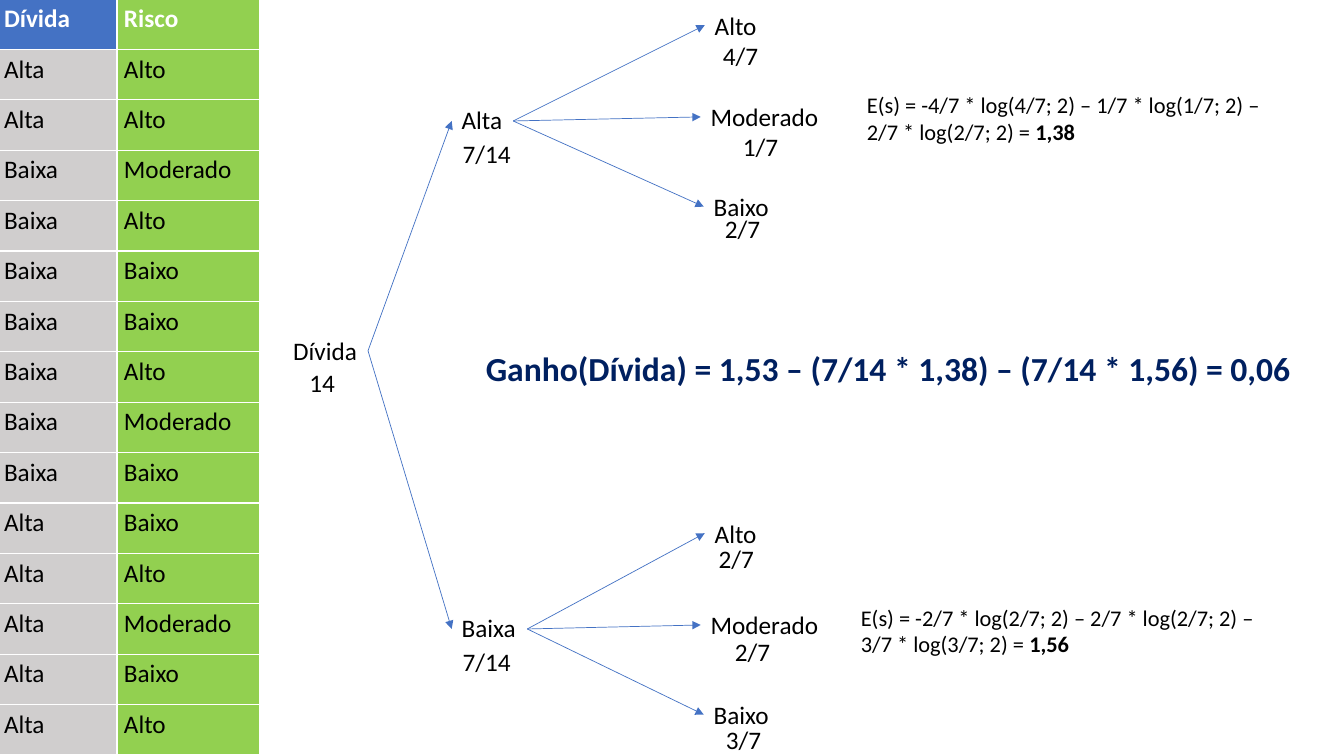
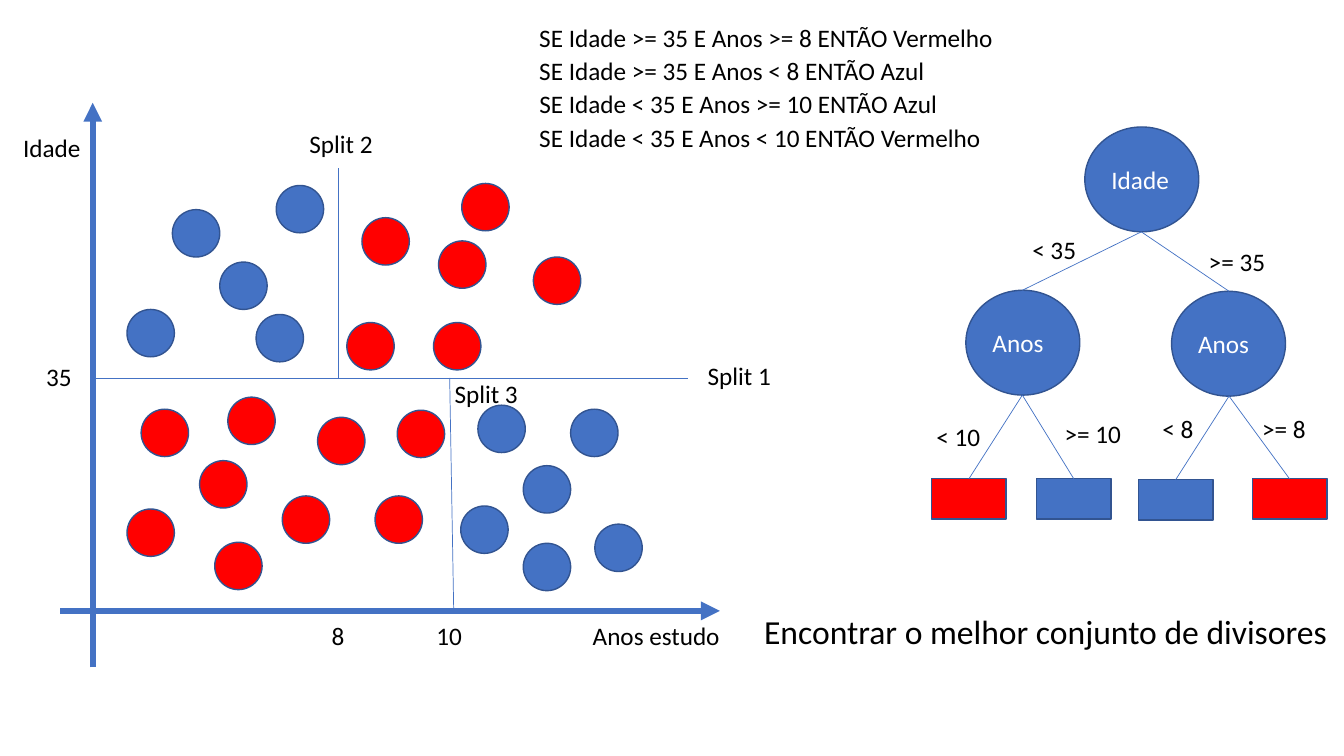
"""Build two slides on decision trees: information gain and splitting rules."""
import pptx
import pptx.util
import pptx.dml.color
import pptx.enum.shapes
import pptx.enum.text
import pptx.oxml
import pptx.oxml.ns

PX = 9144
BLUE, RED, OUTLINE = "4472C4", "FF0000", "325491"
GREEN, GREY, NAVY, BLACK, WHITE = "92D050", "D0CECE", "002060", "000000", "FFFFFF"
FONT = "Calibri"
rgb = pptx.dml.color.RGBColor.from_string
OVAL = pptx.enum.shapes.MSO_SHAPE.OVAL
RECTANGLE = pptx.enum.shapes.MSO_SHAPE.RECTANGLE


def put_text(slide, text, x, y, width, height=40, size=18, color=BLACK, bold=False, wrap=False, ending=""):
    box = slide.shapes.add_textbox(x * PX, y * PX, width * PX, height * PX)
    frame = box.text_frame
    frame.word_wrap = wrap
    frame.auto_size = pptx.enum.text.MSO_AUTO_SIZE.SHAPE_TO_FIT_TEXT
    frame.text = text
    paragraph = frame.paragraphs[0]
    paragraph.runs[0].font.bold = bold
    if ending:
        bold_run = paragraph.add_run()
        bold_run.text = ending
        bold_run.font.bold = True
    for run in paragraph.runs:
        run.font.name = FONT
        run.font.size = pptx.util.Pt(size)
        run.font.color.rgb = rgb(color)


def put_line(slide, start, end, weight=0.5, arrow=False):
    ends = [value * PX for value in (*start, *end)]
    line = slide.shapes.add_connector(pptx.enum.shapes.MSO_CONNECTOR.STRAIGHT, *ends)
    line.line.color.rgb = rgb(BLUE)
    line.line.width = pptx.util.Pt(weight)
    properties = line._element.spPr
    if arrow:
        head = pptx.oxml.parse_xml(f'<a:tailEnd {pptx.oxml.ns.nsdecls("a")} type="triangle"/>')
        properties.find(pptx.oxml.ns.qn("a:ln")).append(head)
    properties.append(pptx.oxml.parse_xml(f'<a:effectLst {pptx.oxml.ns.nsdecls("a")}/>'))


deck = pptx.Presentation()
deck.slide_width, deck.slide_height = pptx.util.Inches(13.33), pptx.util.Inches(7.5)
blank = deck.slide_layouts[6]

gain = deck.slides.add_slide(blank)
put_text(gain, "Dívida", 281, 328, 84)
put_text(gain, "14", 297, 359, 46)

branches = [
    ("Alta", 61, 0, [("4/7", 707, 35), ("1/7", 727, 125), ("2/7", 709, 207)],
     "E(s) = -4/7 * log(4/7; 2) – 1/7 * log(1/7; 2) – 2/7 * log(2/7; 2) = ", "1,38", 850, 86),
    ("Baixa", 75, 504, [("2/7", 703, 534), ("2/7", 719, 626), ("3/7", 710, 714)],
     "E(s) = -2/7 * log(2/7; 2) – 2/7 * log(2/7; 2) – 3/7 * log(3/7; 2) = ", "1,56", 844, 594),
]
outcomes = [("Alto", 699, 5, 62), ("Moderado", 695, 96, 128), ("Baixo", 698, 185, 75)]
for debt, width, drop, fractions, formula, entropy, formula_x, formula_y in branches:
    put_line(gain, (365, 348), (448, 120 + drop), arrow=True)
    put_text(gain, debt, 448, 99 + drop, width)
    put_text(gain, "7/14", 449, 132 + drop, 68)
    for (risk, x, y, risk_width), (fraction, fraction_x, fraction_y) in zip(outcomes, fractions):
        put_line(gain, (448 + width, 120 + drop), (x, y + 20 + drop), arrow=True)
        put_text(gain, risk, x, y + drop, risk_width)
        put_text(gain, fraction, fraction_x, fraction_y, 62, wrap=True)
    put_text(gain, formula, formula_x, formula_y, 427, 64, size=16, wrap=True, ending=entropy)
put_text(gain, "Ganho(Dívida) = 1,53 – (7/14 * 1,38) – (7/14 * 1,56) = 0,06",
         472, 340, 839, 50, size=24, color=NAVY, bold=True, wrap=True)

records = [
    ("Dívida", "Risco"), ("Alta", "Alto"), ("Alta", "Alto"), ("Baixa", "Moderado"),
    ("Baixa", "Alto"), ("Baixa", "Baixo"), ("Baixa", "Baixo"), ("Baixa", "Alto"),
    ("Baixa", "Moderado"), ("Baixa", "Baixo"), ("Alta", "Baixo"), ("Alta", "Alto"),
    ("Alta", "Moderado"), ("Alta", "Baixo"), ("Alta", "Alto"),
]
risks = gain.shapes.add_table(len(records), 2, -3 * PX, -1 * PX, 261 * PX, 750 * PX).table
risks.horz_banding = False
risks.columns[0].width, risks.columns[1].width = 119 * PX, 142 * PX
for row, record in enumerate(records):
    risks.rows[row].height = 50 * PX
    for column, value in enumerate(record):
        cell = risks.cell(row, column)
        cell.margin_left = cell.margin_right = 7 * PX
        cell.margin_top = cell.margin_bottom = 0
        cell.fill.solid()
        cell.fill.fore_color.rgb = rgb(GREEN if column else GREY if row else BLUE)
        cell.text_frame.text = value
        paragraph = cell.text_frame.paragraphs[0]
        paragraph.line_spacing = 1.15
        font = paragraph.runs[0].font
        font.name, font.size, font.bold = FONT, pptx.util.Pt(18), row == 0
        font.color.rgb = rgb(BLACK if row else WHITE)

splits = deck.slides.add_slide(blank)
blue_points = [
    (274, 184), (126, 307), (171, 208), (218, 260), (254, 312), (566, 406),
    (457, 502), (474, 402), (519, 462), (590, 520), (519, 539),
]
red_points = [
    (344, 320), (359, 216), (458, 182), (430, 320), (435, 239), (529, 255), (140, 406), (226, 394),
    (126, 505), (315, 414), (198, 457), (213, 538), (372, 492), (280, 492), (394, 407),
]
figures = [(OVAL, x, y, 47, 47, BLUE, "") for x, y in blue_points]
figures += [(OVAL, x, y, 47, 47, RED, "") for x, y in red_points]
figures += [(OVAL, x, y, 113, 104, BLUE, label)
            for x, y, label in [(1076, 126, "Idade"), (958, 288, "Anos"), (1162, 289, "Anos")]]
figures += [(RECTANGLE, x, y, 74, 40, fill, "")
            for x, y, fill in [(924, 475, RED), (1028, 475, BLUE), (1129, 476, BLUE), (1242, 475, RED)]]
for preset, x, y, width, height, fill, label in figures:
    figure = splits.shapes.add_shape(preset, x * PX, y * PX, width * PX, height * PX)
    figure.shadow.inherit = False
    figure.fill.solid()
    figure.fill.fore_color.rgb = rgb(fill)
    figure.line.color.rgb = rgb(OUTLINE)
    figure.line.width = pptx.util.Pt(1)
    if label:
        figure.text_frame.text = label
        font = figure.text_frame.paragraphs[0].runs[0].font
        font.name, font.size = FONT, pptx.util.Pt(18)
        font.color.rgb = rgb(WHITE)

for start, end in [((92, 662), (92, 102)), ((60, 606), (714, 606))]:
    put_line(splits, start, end, weight=4.5, arrow=True)
dividers = [((92, 375), (682, 375)), ((336, 167), (336, 375)), ((446, 375), (450, 606))]
tree_edges = [
    ((1132, 230), (1014, 288)), ((1132, 230), (1219, 289)),
    ((1014, 392), (961, 475)), ((1014, 392), (1065, 475)),
    ((1219, 393), (1166, 476)), ((1219, 393), (1279, 475)),
]
for start, end in dividers + tree_edges:
    put_line(splits, start, end)

captions = [
    ("Idade", 13, 126, 78), ("Anos estudo", 578, 611, 148),
    ("35", 36, 354, 46), ("10", 423, 611, 46), ("8", 319, 610, 33),
    ("Split 1", 692, 353, 84), ("Split 2", 297, 122, 84), ("Split 3", 441, 370, 84),
    ("< 35", 1014, 228, 64), (">= 35", 1189, 239, 77),
    ("< 10", 919, 413, 64), (">= 10", 1046, 410, 77),
    ("< 8", 1143, 405, 51), (">= 8", 1242, 405, 64),
]
for caption, x, y, width in captions:
    put_text(splits, caption, x, y, width)

rules = [
    ("SE Idade >= 35 E Anos >= 8 ENTÃO Vermelho", 484),
    ("SE Idade >= 35 E Anos < 8 ENTÃO Azul", 407),
    ("SE Idade < 35 E Anos >= 10 ENTÃO Azul", 419),
    ("SE Idade < 35 E Anos < 10 ENTÃO Vermelho", 463),
]
for index, (rule, width) in enumerate(rules):
    put_text(splits, rule, 525, 17 + 33 * index, width)
put_text(splits, "Encontrar o melhor conjunto de divisores", 748, 601, 584, 50, size=24)

deck.save("out.pptx")
